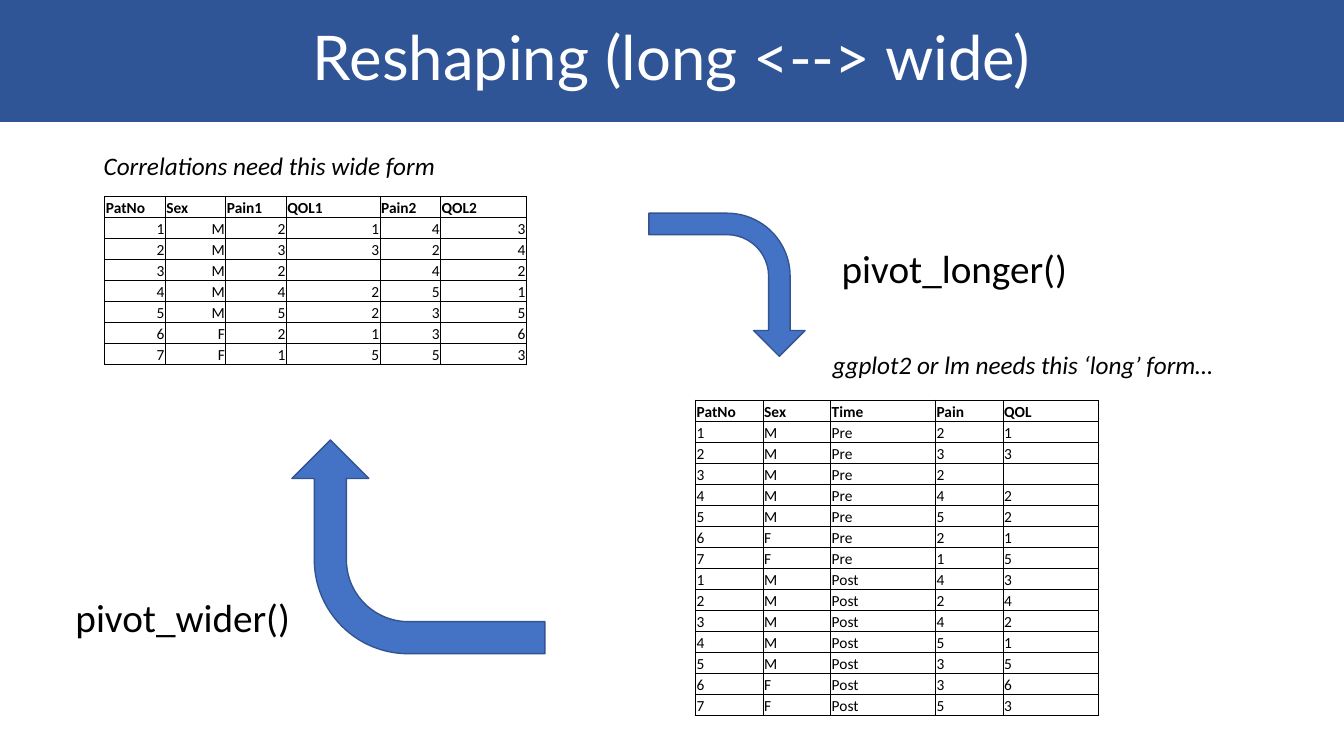
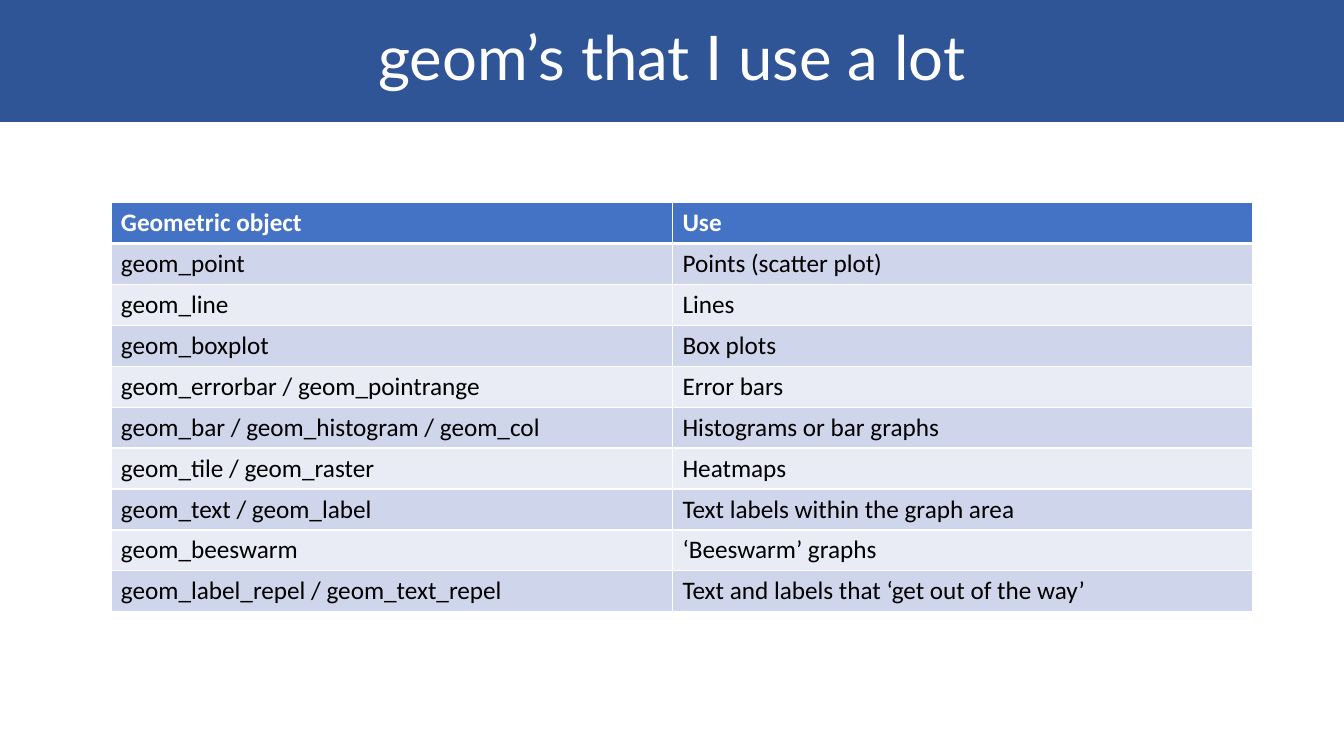
from dataclasses import dataclass

from lxml import etree
from pptx import Presentation
from pptx import util as u
from pptx.dml.color import RGBColor
from pptx.enum import shapes, text
from pptx.oxml.ns import qn


@dataclass(frozen=True)
class Theme:
    band: str = "2F5597"
    accent: str = "4472C4"
    accent_line: str = "325491"
    stripes: tuple = ("CFD5EA", "E9EBF5")
    white: str = "FFFFFF"
    black: str = "000000"
    title_font: str = "Lato"
    body_font: str = "Calibri"
    title_size: int = 44
    code_size: int = 28
    body_size: int = 18
    data_size: int = 11


THEME = Theme()
SLIDE_WIDTH, SLIDE_HEIGHT, BAND_HEIGHT = 1333, 750, 121
ARROW_ADJUSTMENTS = (0.15, 0.18, 0.18, 0.44)
TITLE_ONLY_LAYOUT = 5

# One row per patient: number, sex, then pain and QOL before and after
PATIENTS = [
    (1, "M", 2, 1, 4, 3),
    (2, "M", 3, 3, 2, 4),
    (3, "M", 2, "", 4, 2),
    (4, "M", 4, 2, 5, 1),
    (5, "M", 5, 2, 3, 5),
    (6, "F", 2, 1, 3, 6),
    (7, "F", 1, 5, 5, 3),
]
WIDE_ROWS = [("PatNo", "Sex", "Pain1", "QOL1", "Pain2", "QOL2"), *PATIENTS]
LONG_ROWS = [("PatNo", "Sex", "Time", "Pain", "QOL")] + [
    (*patient[:2], time, *patient[first:first + 2])
    for time, first in (("Pre", 2), ("Post", 4))
    for patient in PATIENTS
]
GEOM_ROWS = [
    ("Geometric object", "Use"),
    ("geom_point", "Points (scatter plot)"),
    ("geom_line", "Lines"),
    ("geom_boxplot", "Box plots"),
    ("geom_errorbar / geom_pointrange", "Error bars"),
    ("geom_bar / geom_histogram / geom_col", "Histograms or bar graphs"),
    ("geom_tile / geom_raster", "Heatmaps"),
    ("geom_text / geom_label", "Text labels within the graph area"),
    ("geom_beeswarm", "‘Beeswarm’ graphs"),
    ("geom_label_repel / geom_text_repel", "Text and labels that ‘get out of the way’"),
]


# Shared helpers
def px(length):
    return u.Emu(length * 9144)


def set_attributes(target, values):
    for name, value in values.items():
        setattr(target, name, value)


def paint(fill, color):
    fill.solid()
    fill.fore_color.rgb = RGBColor.from_string(color)


def write(paragraph, content, size, color=THEME.black, name=THEME.body_font, **styles):
    """Put one formatted run in a paragraph; an empty one only keeps its size."""
    if content == "":
        etree.SubElement(paragraph._p, qn("a:endParaRPr"), sz=str(size * 100))
        return
    run = paragraph.add_run()
    run.text = str(content)
    set_attributes(run.font, {"size": u.Pt(size), "name": name, **styles})
    run.font.color.rgb = RGBColor.from_string(color)


# Slide with its title band
def add_titled_slide(presentation, heading):
    slide = presentation.slides.add_slide(presentation.slide_layouts[TITLE_ONLY_LAYOUT])
    title = slide.shapes.title
    set_attributes(title, {"left": 0, "top": 0, "width": px(SLIDE_WIDTH),
                           "height": px(BAND_HEIGHT)})
    paint(title.fill, THEME.band)
    set_attributes(title.text_frame, {"vertical_anchor": text.MSO_ANCHOR.MIDDLE,
                                      "auto_size": text.MSO_AUTO_SIZE.NONE,
                                      "word_wrap": True})
    paragraph = title.text_frame.paragraphs[0]
    set_attributes(paragraph, {"alignment": text.PP_ALIGN.CENTER, "line_spacing": 0.9})
    write(paragraph, heading, THEME.title_size, THEME.white, THEME.title_font)
    return slide


# Labels and arrows
def add_label(slide, content, left, top, width, height, size, italic=False):
    box = slide.shapes.add_textbox(px(left), px(top), px(width), px(height))
    set_attributes(box.text_frame, {"word_wrap": False,
                                    "auto_size": text.MSO_AUTO_SIZE.SHAPE_TO_FIT_TEXT})
    write(box.text_frame.paragraphs[0], content, size, italic=italic)


def add_bent_arrow(slide, left, top, width, height, rotation):
    arrow = slide.shapes.add_shape(shapes.MSO_SHAPE.BENT_ARROW,
                                   px(left), px(top), px(width), px(height))
    arrow.rotation = rotation
    arrow.shadow.inherit = False
    for index, value in enumerate(ARROW_ADJUSTMENTS):
        arrow.adjustments[index] = value
    paint(arrow.fill, THEME.accent)
    paint(arrow.line.fill, THEME.accent_line)
    arrow.line.width = u.Pt(1)


# Tables
def set_borders(cell, color, top=1, bottom=1):
    properties = cell._tc.get_or_add_tcPr()
    for side, width in {"L": 1, "R": 1, "T": top, "B": bottom}.items():
        line = etree.SubElement(properties, qn(f"a:ln{side}"), w=str(u.Pt(width)))
        fill = etree.SubElement(line, qn("a:solidFill"))
        etree.SubElement(fill, qn("a:srgbClr"), val=color)


def add_grid(slide, rows, left, top, height, column_widths, format_cell):
    """Add a table and let format_cell dress each cell and write its value."""
    table = slide.shapes.add_table(len(rows), len(column_widths), px(left), px(top),
                                   px(sum(column_widths)), px(height)).table
    set_attributes(table, {"first_row": False, "horz_banding": False})
    for column, width in zip(table.columns, column_widths):
        column.width = px(width)
    for row_index, values in enumerate(rows):
        table.rows[row_index].height = px(height) // len(rows)
        for cell, value in zip(table.rows[row_index].cells, values):
            format_cell(cell, value, row_index)


def data_cell(alignment):
    def format_cell(cell, value, row_index):
        is_header = row_index == 0
        set_borders(cell, THEME.black)
        cell.fill.background()
        set_attributes(cell, {"vertical_anchor": text.MSO_ANCHOR.BOTTOM,
                              "margin_left": px(1), "margin_right": px(1),
                              "margin_top": px(1), "margin_bottom": 0})
        paragraph = cell.text_frame.paragraphs[0]
        paragraph.alignment = text.PP_ALIGN.LEFT if is_header else alignment
        write(paragraph, value, THEME.data_size, bold=is_header)
    return format_cell


def striped_cell(cell, value, row_index):
    is_header = row_index == 0
    set_borders(cell, THEME.white, top=3 if row_index == 1 else 1,
                bottom=3 if is_header else 1)
    paint(cell.fill, THEME.accent if is_header else THEME.stripes[(row_index - 1) % 2])
    write(cell.text_frame.paragraphs[0], value, THEME.body_size,
          THEME.white if is_header else THEME.black, bold=is_header)


# Slides
def build_reshaping(presentation):
    slide = add_titled_slide(presentation, "Reshaping (long <--> wide)")
    add_grid(slide, WIDE_ROWS, 104, 195, 167, (60, 60, 60, 93, 60, 85),
             data_cell(text.PP_ALIGN.RIGHT))
    add_grid(slide, LONG_ROWS, 690, 397, 313, (67, 67, 104, 67, 95),
             data_cell(text.PP_ALIGN.LEFT))
    add_bent_arrow(slide, 309, 417, 212, 251, 270)
    add_bent_arrow(slide, 650, 205, 142, 155, 90)
    add_label(slide, "pivot_longer()", 825, 237, 246, 57, THEME.code_size)
    add_label(slide, "pivot_wider()", 65, 584, 235, 57, THEME.code_size)
    add_label(slide, "Correlations need this wide form", 93, 144, 352, 40,
              THEME.body_size, italic=True)
    add_label(slide, "ggplot2 or lm needs this ‘long’ form…", 816, 342, 402, 40,
              THEME.body_size, italic=True)


def build_geoms(presentation):
    slide = add_titled_slide(presentation, "geom’s that I use a lot")
    add_grid(slide, GEOM_ROWS, 110, 201, 406, (557, 575), striped_cell)


def main():
    presentation = Presentation()
    set_attributes(presentation, {"slide_width": px(SLIDE_WIDTH),
                                  "slide_height": px(SLIDE_HEIGHT)})
    build_reshaping(presentation)
    build_geoms(presentation)
    presentation.save("out.pptx")


if __name__ == "__main__":
    main()
